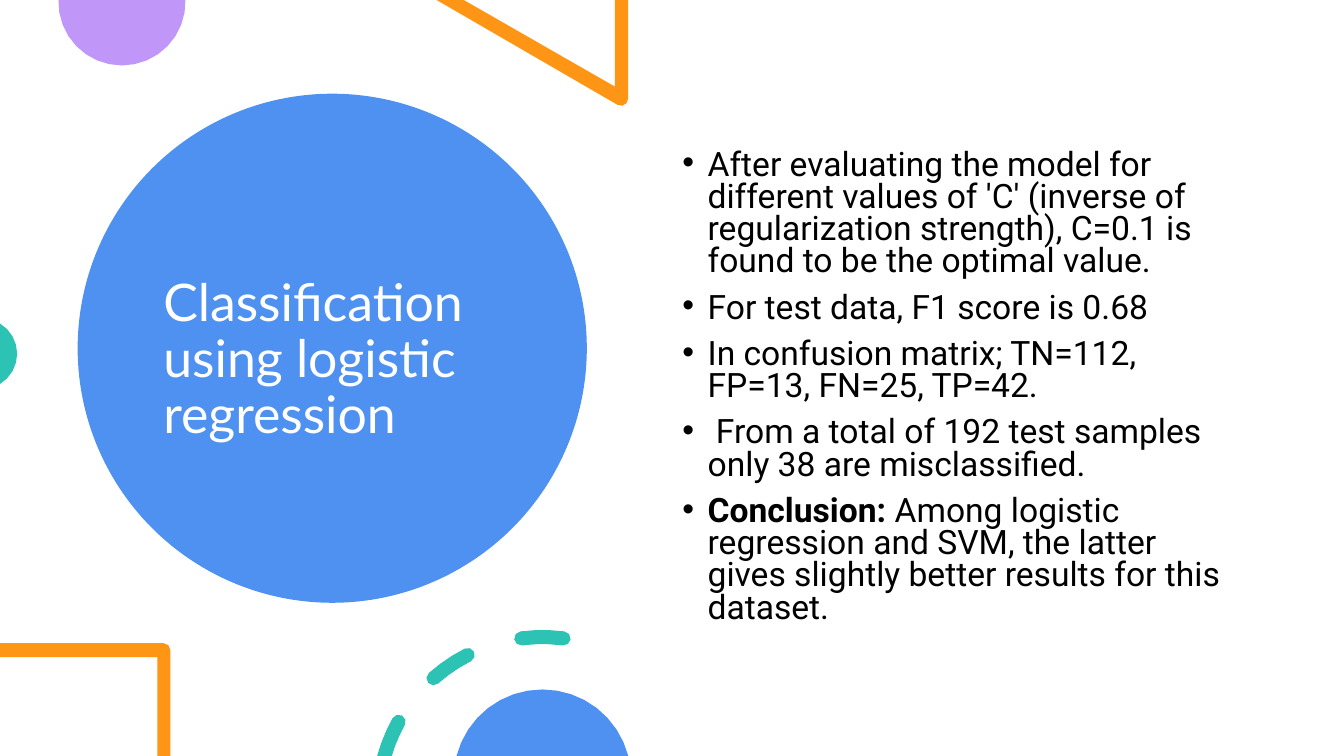
import math

import pptx
import pptx.dml.color
import pptx.enum.shapes
import pptx.enum.text
import pptx.oxml
import pptx.oxml.ns
import pptx.util

Inches = pptx.util.Inches
Pt = pptx.util.Pt

SLIDE_WIDTH, SLIDE_HEIGHT = 13.33, 7.5
COLORS = {"blue": "4E91F0", "purple": "C097F8", "orange": "FF9514",
          "teal": "2CC3B4", "white": "FFFFFF", "black": "000000"}
TITLE = "Classification using logistic regression"
FINDINGS = [
    [("After evaluating the model for different values of 'C' (inverse of "
      "regularization strength), C=0.1 is found to be the optimal value.", False)],
    [("For test data, F1 score is 0.68", False)],
    [("In confusion matrix; TN=112, FP=13, FN=25, TP=42.", False)],
    [("\u00a0From a total of 192 test samples only 38 are misclassified.", False)],
    [("Conclusion: ", True),
     ("Among logistic regression and SVM, the latter gives slightly better "
      "results for this dataset.", False)],
]


def apply_format(target, values):
    """Set every attribute in a dict of format values."""
    for name, value in values.items():
        setattr(target, name, value)


def rgb(color):
    """Return the named colour as an RGBColor."""
    return pptx.dml.color.RGBColor.from_string(COLORS[color])


def paint(shape, color):
    """Give a shape a plain fill without line or shadow."""
    shape.shadow.inherit = False
    shape.fill.solid()
    shape.fill.fore_color.rgb = rgb(color)
    shape.line.fill.background()


def add_preset(slide, kind, box, color):
    """Add a filled preset shape; the box is left, top, width, height."""
    shape = slide.shapes.add_shape(kind, *[Inches(length) for length in box])
    paint(shape, color)


def arc(center, radius, start, end, steps):
    """Return points on a circle, with degrees counted counterclockwise."""
    x, y = center
    angles = [math.radians(start + (end - start) * i / steps)
              for i in range(steps + 1)]
    return [(x + radius * math.cos(a), y - radius * math.sin(a)) for a in angles]


def rounded_dash(center, radius, half_width, start, end=None):
    """Return a curved dash; without an end it runs off the slide's bottom."""
    outer, inner = radius + half_width, radius - half_width
    if end is None:
        drop = center[1] - SLIDE_HEIGHT
        outer_end, inner_end = [180 - math.degrees(math.asin(drop / r))
                                for r in (outer, inner)]
        end_cap = []
    else:
        outer_end = inner_end = end
        end_center = arc(center, radius, end, end, 1)[0]
        end_cap = arc(end_center, half_width, end, end + 180, 4)[1:-1]
    start_center = arc(center, radius, start, start, 1)[0]
    start_cap = arc(start_center, half_width, start + 180, start + 360, 4)[1:-1]
    return (arc(center, outer, start, outer_end, 3) + end_cap
            + arc(center, inner, inner_end, start, 3) + start_cap)


def add_outline(slide, contours, color):
    """Add one filled freeform made of closed contours given in inches."""
    contours = [[(Inches(x), Inches(y)) for x, y in points] for points in contours]
    builder = slide.shapes.build_freeform(*contours[0][0], scale=1.0)
    for index, points in enumerate(contours):
        if index:
            builder.move_to(*points[0])
        builder.add_line_segments(points[1:], close=True)
    paint(builder.convert_to_shape(), color)


def add_title(slide):
    """Place the title on top of the large blue circle."""
    add_preset(slide, pptx.enum.shapes.MSO_SHAPE.OVAL,
               (0.77, 0.93, 5.05, 5.05), "blue")
    title = slide.shapes.title
    title.element.getparent().append(title.element)
    apply_format(title, {"left": Inches(1.52), "top": Inches(1.35),
                         "width": Inches(3.54), "height": Inches(4.45)})
    title.text_frame.text = TITLE
    apply_format(title.text_frame, {
        "word_wrap": True,
        "auto_size": pptx.enum.text.MSO_AUTO_SIZE.NONE,
        "vertical_anchor": pptx.enum.text.MSO_ANCHOR.MIDDLE})
    paragraph = title.text_frame.paragraphs[0]
    apply_format(paragraph, {"alignment": pptx.enum.text.PP_ALIGN.LEFT,
                             "line_spacing": 0.9})
    font = paragraph.runs[0].font
    apply_format(font, {"name": "Lato", "size": Pt(37)})
    font.color.rgb = rgb("white")


def add_bullet(paragraph):
    """Give a paragraph a round bullet with a hanging indent."""
    properties = paragraph._p.get_or_add_pPr()
    properties.set("marL", str(Inches(0.25)))
    properties.set("indent", str(Inches(-0.25)))
    namespace = pptx.oxml.ns.nsdecls("a")
    for tag in ('buFont %s typeface="Arial"', 'buChar %s char="\u2022"'):
        properties.append(pptx.oxml.parse_xml("<a:" + tag % namespace + "/>"))


def add_findings(slide):
    """Add the bulleted evaluation results."""
    findings = slide.shapes.add_textbox(
        Inches(6.67), Inches(0.9), Inches(5.75), Inches(5.35)).text_frame
    apply_format(findings, {"word_wrap": True, "margin_top": Inches(0.59)})
    for index, pieces in enumerate(FINDINGS):
        paragraph = findings.add_paragraph() if index else findings.paragraphs[0]
        apply_format(paragraph, {"line_spacing": 0.8, "space_before": Pt(10)})
        add_bullet(paragraph)
        for text, bold in pieces:
            run = paragraph.add_run()
            run.text = text
            apply_format(run.font, {"name": "Roboto", "size": Pt(24), "bold": bold})
            run.font.color.rgb = rgb("black")


def add_decorations(slide):
    """Add the cropped outlines around the slide's left half."""
    triangle = ([(6.23, 0), (6.1, 0), (6.1, 0.86), (4.6, 0), (4.33, 0)]
                + arc((6.16, 0.98), 0.07, -120, 0, 3))
    square = ([(0, 6.38)] + arc((1.62, 6.45), 0.07, 90, 0, 2)
              + [(1.69, 7.5), (1.56, 7.5), (1.56, 6.52), (0, 6.52)])
    ring = [rounded_dash((5.38, 7.95), 1.63, 0.07, *span)
            for span in ((151,), (117, 131.5), (82.6, 97.4))]
    decorations = [
        ([arc((1.21, 0.02), 0.63, 178, 362, 16)], "purple"),
        ([triangle], "orange"),
        ([arc((-0.18, 3.51), 0.35, -59, 59, 8)], "teal"),
        ([square], "orange"),
        (ring, "teal"),
        ([arc((5.38, 7.72), 0.88, 14.5, 165.5, 16)], "blue"),
    ]
    for contours, color in decorations:
        add_outline(slide, contours, color)


def main():
    """Build the slide and save it."""
    presentation = pptx.Presentation()
    apply_format(presentation, {"slide_width": Inches(SLIDE_WIDTH),
                                "slide_height": Inches(SLIDE_HEIGHT)})
    slide = presentation.slides.add_slide(presentation.slide_layouts[5])
    add_preset(slide, pptx.enum.shapes.MSO_SHAPE.RECTANGLE,
               (0, 0, SLIDE_WIDTH, SLIDE_HEIGHT), "white")
    add_title(slide)
    add_decorations(slide)
    add_findings(slide)
    presentation.save("out.pptx")


main()
